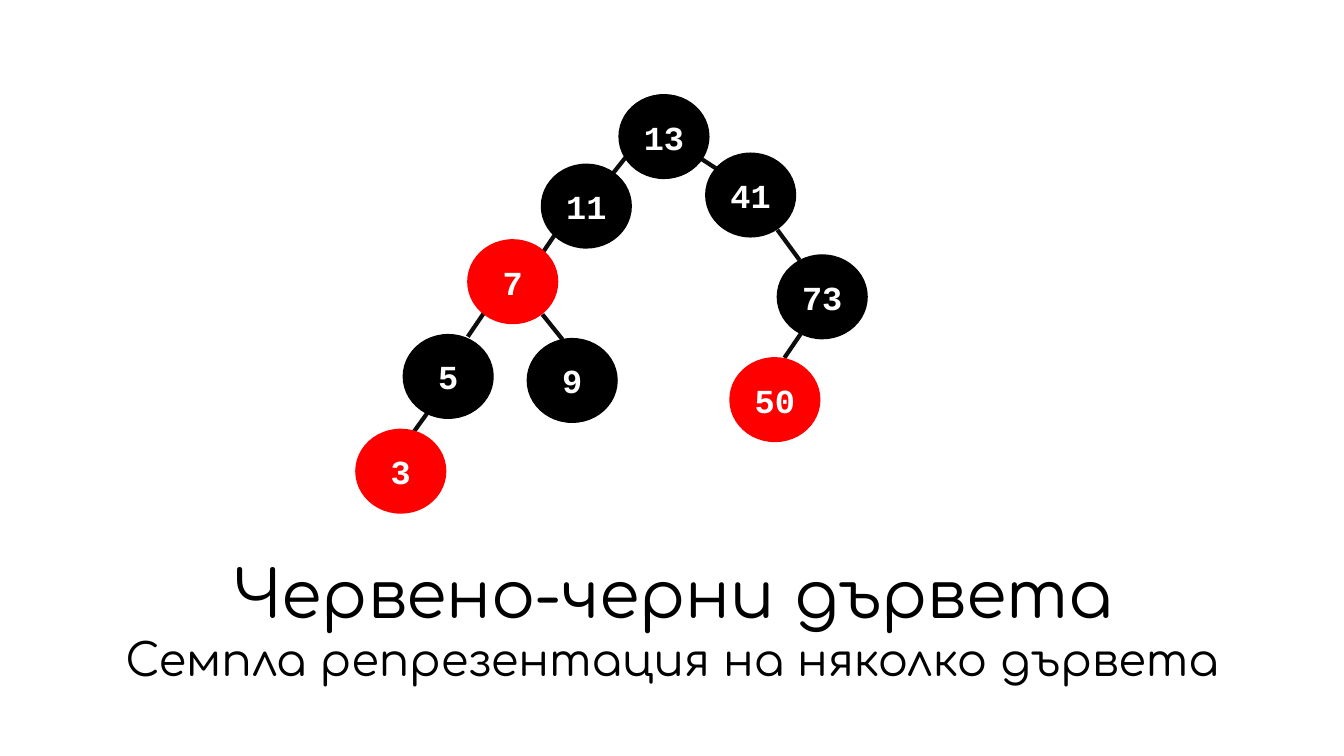
from pptx import Presentation
from pptx.dml.color import RGBColor
from pptx.enum.shapes import MSO_CONNECTOR, MSO_SHAPE
from pptx.enum.text import MSO_ANCHOR, PP_ALIGN
from pptx.oxml.ns import qn
from pptx.util import Inches, Pt
from lxml import etree

BLACK = RGBColor(0x00, 0x00, 0x00)
RED = RGBColor(0xFF, 0x00, 0x00)
WHITE = RGBColor(0xFF, 0xFF, 0xFF)
EDGE_COLOR = RGBColor(0x0D, 0x0D, 0x0D)

NODE_WIDTH, NODE_HEIGHT = 0.89, 0.83

# key, left, top, color
NODES = [
    (13, 6.14, 0.94, BLACK),
    (41, 7.00, 1.52, BLACK),
    (73, 7.71, 2.53, BLACK),
    (11, 5.37, 1.63, BLACK),
    (50, 7.24, 3.55, RED),
    (7, 4.64, 2.38, RED),
    (9, 5.23, 3.36, BLACK),
    (5, 4.00, 3.32, BLACK),
    (3, 3.53, 4.26, RED),
]

# (parent, child): the visible stretch, x1, y1, x2, y2
EDGES = {
    (41, 73): (7.71, 2.28, 7.93, 2.58),
    (13, 41): (6.87, 1.52, 7.10, 1.67),
    (73, 50): (7.95, 3.30, 7.78, 3.55),
    (13, 11): (6.23, 1.53, 6.00, 1.82),
    (11, 7): (5.55, 2.26, 5.38, 2.51),
    (7, 9): (5.38, 3.12, 5.58, 3.37),
    (7, 5): (4.81, 3.09, 4.64, 3.34),
    (5, 3): (4.28, 4.04, 4.10, 4.29),
}

# text, top, height, size, anchor
CAPTIONS = [
    ("Червено-черни дървета", 5.42, 0.90, 46.7, MSO_ANCHOR.BOTTOM),
    ("Семпла репрезентация на няколко дървета", 6.29, 0.79, 32, MSO_ANCHOR.TOP),
]
CAPTION_LEFT, CAPTION_WIDTH = 1, 11.34


def write(shape, text, anchor, margins, line_spacing, font_format):
    """Put one centred paragraph into the shape."""
    frame = shape.text_frame
    side, end = (Inches(margin) for margin in margins)
    frame_format = dict(word_wrap=True, vertical_anchor=anchor,
                        margin_left=side, margin_right=side,
                        margin_top=end, margin_bottom=end)
    for name, value in frame_format.items():
        setattr(frame, name, value)
    paragraph = frame.paragraphs[0]
    paragraph.alignment = PP_ALIGN.CENTER
    paragraph.line_spacing = line_spacing
    run = paragraph.add_run()
    run.text = text
    color = font_format.pop("color")
    for name, value in font_format.items():
        setattr(run.font, name, value)
    run.font.color.rgb = color


def add_edge(shapes, points):
    edge = shapes.add_connector(MSO_CONNECTOR.STRAIGHT, *map(Inches, points))
    edge.line.color.rgb = EDGE_COLOR
    edge.line.width = Pt(3)
    etree.SubElement(edge._element.spPr, qn("a:effectLst"))


def add_node(shapes, key, left, top, color):
    node = shapes.add_shape(MSO_SHAPE.OVAL, Inches(left), Inches(top),
                            Inches(NODE_WIDTH), Inches(NODE_HEIGHT))
    node.shadow.inherit = False
    node.fill.solid()
    node.fill.fore_color.rgb = color
    node.line.color.rgb = color
    node.line.width = Pt(1)
    write(node, str(key), MSO_ANCHOR.MIDDLE, (0.1, 0.05), 1.0,
          dict(name="Courier New", size=Pt(24), bold=True, color=WHITE))


def add_caption(shapes, text, top, height, size, anchor):
    caption = shapes.add_textbox(Inches(CAPTION_LEFT), Inches(top),
                                 Inches(CAPTION_WIDTH), Inches(height))
    write(caption, text, anchor, (0.04, 0.04), 0.9,
          dict(name="Comfortaa", size=Pt(size), color=BLACK))


def main():
    deck = Presentation()
    deck.slide_width, deck.slide_height = Inches(13.33), Inches(7.5)
    shapes = deck.slides.add_slide(deck.slide_layouts[6]).shapes
    for points in EDGES.values():
        add_edge(shapes, points)
    for caption in CAPTIONS:
        add_caption(shapes, *caption)
    for node in NODES:
        add_node(shapes, *node)
    deck.save("out.pptx")


if __name__ == "__main__":
    main()
